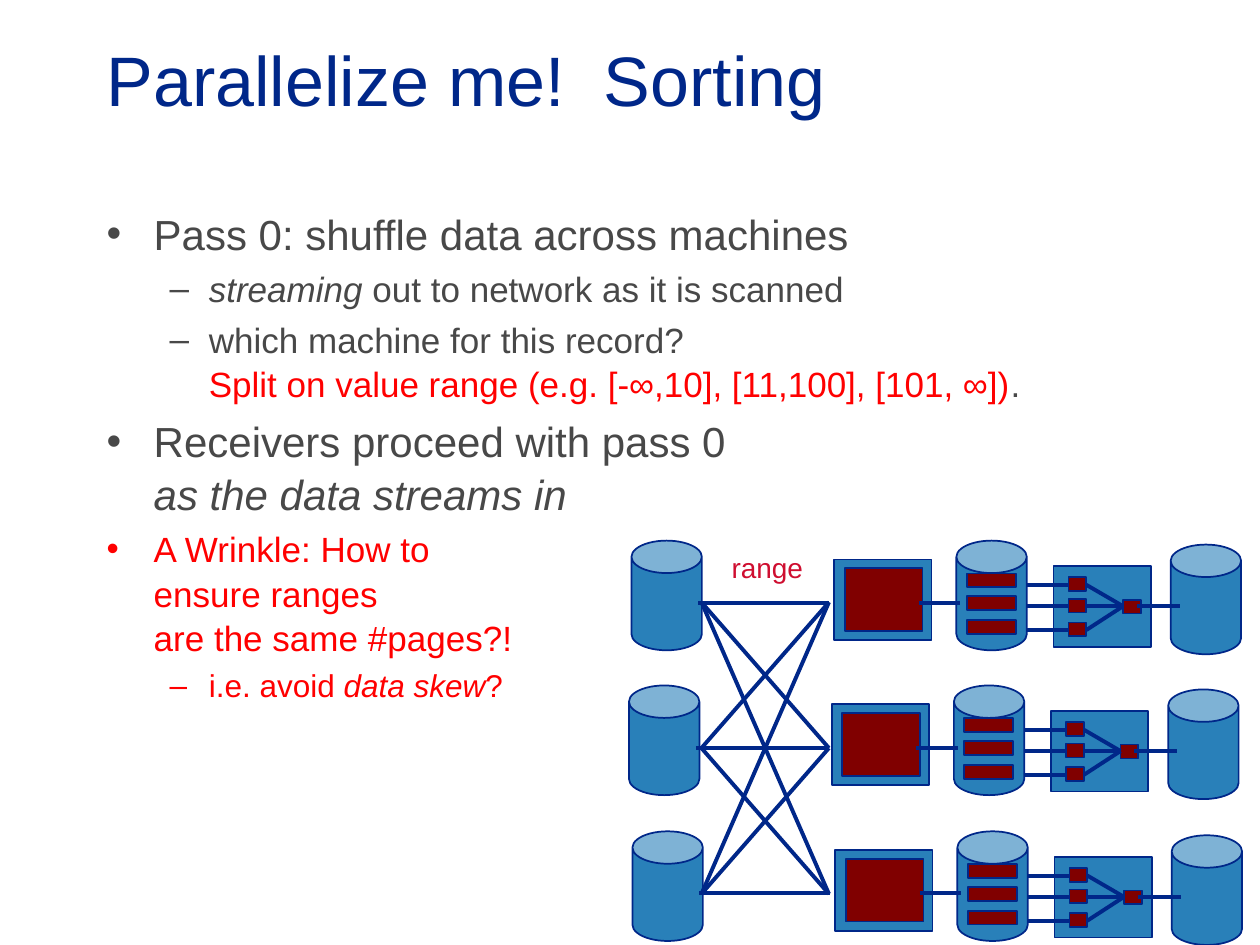
from itertools import permutations

from lxml.etree import SubElement
from pptx import Presentation
from pptx.dml.color import RGBColor
from pptx.enum.shapes import MSO_CONNECTOR, MSO_SHAPE
from pptx.enum.text import MSO_ANCHOR
from pptx.oxml.ns import qn
from pptx.util import Cm, Pt

NAVY = RGBColor(0x00, 0x27, 0x89)
BLUE = RGBColor(0x29, 0x80, 0xB9)
MAROON = RGBColor(0x80, 0x00, 0x00)
GRAY = RGBColor(0x48, 0x48, 0x48)
RED = RGBColor(0xFF, 0x00, 0x00)
CRIMSON = RGBColor(0xCF, 0x0E, 0x30)

DISK_SIZE = (1.42, 2.21)
MACHINE_SIZE = (1.96, 1.63)
RUN_SIZE = (0.36, 0.28)
PAGE_SIZE = (0.99, 0.28)
ROW_SIZE = (12.29, 2.29)
ROW_ORIGINS = [(12.73, 10.9), (12.68, 13.82), (12.75, 16.76)]

BULLETS = [
    (0, 24, [("Pass 0: shuffle data across machines", GRAY, False)]),
    (1, 20, [("streaming ", GRAY, True),
             ("out to network as it is scanned", GRAY, False)]),
    (1, 20, [("which machine for this record?\n", GRAY, False),
             ("Split on value range (e.g. [-∞,10], [11,100], [101, ∞])", RED, False),
             (".", GRAY, False)]),
    (0, 24, [("Receivers proceed with pass 0\n", GRAY, False),
             ("as the data streams in", GRAY, True)]),
    (0, 20, [("A Wrinkle: How to\nensure ranges\nare the same #pages?!", RED, False)]),
    (1, 18, [("i.e. avoid ", RED, False), ("data skew", RED, True),
             ("?", RED, False)]),
]


def add_text(paragraph, text, *, size, color, italic=False):
    """Append formatted text, turning newlines into line breaks."""
    for index, line in enumerate(text.split("\n")):
        if index:
            paragraph.add_line_break()
        if line:
            run = paragraph.add_run()
            run.text = line
            run.font.name = "Arial"
            run.font.size = Pt(size)
            run.font.italic = italic
            run.font.color.rgb = color


def add_frame(slide, box, wrap=True):
    """Add an empty text box and return its text frame."""
    frame = slide.shapes.add_textbox(*map(Cm, box)).text_frame
    frame.word_wrap = wrap
    return frame


def add_block(slide, kind, position, size, fill):
    """Add a filled preset shape with a thin navy outline."""
    shape = slide.shapes.add_shape(kind, *map(Cm, (*position, *size)))
    shape.shadow.inherit = False
    shape.fill.solid()
    shape.fill.fore_color.rgb = fill
    shape.line.color.rgb = NAVY
    shape.line.width = Pt(1)
    return shape


def add_disk(slide, position):
    """Add a disk cylinder."""
    disk = add_block(slide, MSO_SHAPE.CAN, position, DISK_SIZE, BLUE)
    disk.adjustments[0] = 0.46


def add_line(slide, start, end):
    """Add a straight navy line."""
    line = slide.shapes.add_connector(
        MSO_CONNECTOR.STRAIGHT, *map(Cm, (*start, *end)))
    line.line.color.rgb = NAVY
    line.line.width = Pt(2.25)
    SubElement(line.element.spPr, qn("a:effectLst"))


def add_title(slide, box):
    """Write the slide title, centred vertically in its box."""
    frame = add_frame(slide, box)
    frame.vertical_anchor = MSO_ANCHOR.MIDDLE
    add_text(frame.paragraphs[0], "Parallelize me!  Sorting", size=40, color=NAVY)


def add_bullets(slide, box):
    """Write the two-level bullet list."""
    frame = add_frame(slide, box)
    for index, (level, size, pieces) in enumerate(BULLETS):
        paragraph = frame.add_paragraph() if index else frame.paragraphs[0]
        paragraph.level = level
        paragraph.line_spacing = 1.05
        paragraph.space_before = Pt(0.2 * size if index else 0)
        margin, hanging, mark = [(0.95, 0.95, "•"), (2.06, 0.79, "–")][level]
        properties = paragraph._p.get_or_add_pPr()
        properties.set("marL", str(Cm(margin)))
        properties.set("indent", str(-Cm(hanging)))
        SubElement(properties, qn("a:buFont"), typeface="Arial")
        SubElement(properties, qn("a:buChar"), char=mark)
        for text, color, italic in pieces:
            add_text(paragraph, text, size=size, color=color, italic=italic)


def add_merger(slide, box):
    """Draw the machine that merges three sorted runs into one."""
    left, top, width, height = box
    rectangle = MSO_SHAPE.RECTANGLE
    add_block(slide, rectangle, (left, top), (width, height), BLUE)
    add_block(slide, rectangle, (left + 1.4, top + 0.68), RUN_SIZE, MAROON)
    for offset in (0.23, 0.66, 1.14):
        add_block(slide, rectangle, (left + 0.3, top + offset), RUN_SIZE, MAROON)
        middle = top + offset + 0.15
        add_line(slide, (left + 0.66, middle), (left + 1.4, top + 0.81))
        add_line(slide, (left + 0.3, middle), (left - 0.64, middle))


def add_pipeline(slide, box):
    """Draw one row from source disk to sorted disk."""
    left, top, width, height = box
    rectangle = MSO_SHAPE.RECTANGLE
    disk_width, disk_height = DISK_SIZE
    add_disk(slide, (left, top))
    add_line(slide, (left + 1.35, top + 1.25), (left + 3.99, top + 1.25))
    add_merger(slide, (left + 8.51, top + 0.51, *MACHINE_SIZE))
    add_disk(slide, (left + width - disk_width, top + height - disk_height))
    add_disk(slide, (left + 6.55, top))
    add_block(slide, rectangle, (left + 4.09, top + 0.38), MACHINE_SIZE, BLUE)
    add_block(slide, rectangle, (left + 4.3, top + 0.55), (1.57, 1.27), MAROON)
    add_line(slide, (left + 11.05, top + 1.32), (left + 10.19, top + 1.32))
    for offset in (0.66, 1.12, 1.6):
        add_block(slide, rectangle, (left + 6.76, top + offset), PAGE_SIZE, MAROON)
    add_line(slide, (left + 5.79, top + 1.25), (left + 6.63, top + 1.25))


def add_shuffle(slide, box):
    """Draw the crossing network lines and their label."""
    left, top, width, height = box
    levels = [top + step * height / 2 for step in range(3)]
    for start, end in permutations(levels, 2):
        add_line(slide, (left, start), (left + width, end))
    frame = add_frame(slide, (left + 0.36, top - 1.17, 1.98, 0.94), wrap=False)
    add_text(frame.paragraphs[0], "range", size=16, color=CRIMSON)


def main():
    """Build and save the slide."""
    presentation = Presentation()
    presentation.slide_width = Cm(25.4)
    presentation.slide_height = Cm(19.05)
    slide = presentation.slides.add_slide(presentation.slide_layouts[6])
    add_title(slide, (1.9, 0, 21.6, 3.18))
    add_bullets(slide, (1.9, 4.02, 21.6, 14.17))
    for origin in ROW_ORIGINS:
        add_pipeline(slide, (*origin, *ROW_SIZE))
    add_shuffle(slide, (14.14, 12.14, 2.57, 5.88))
    presentation.save("out.pptx")


if __name__ == "__main__":
    main()
